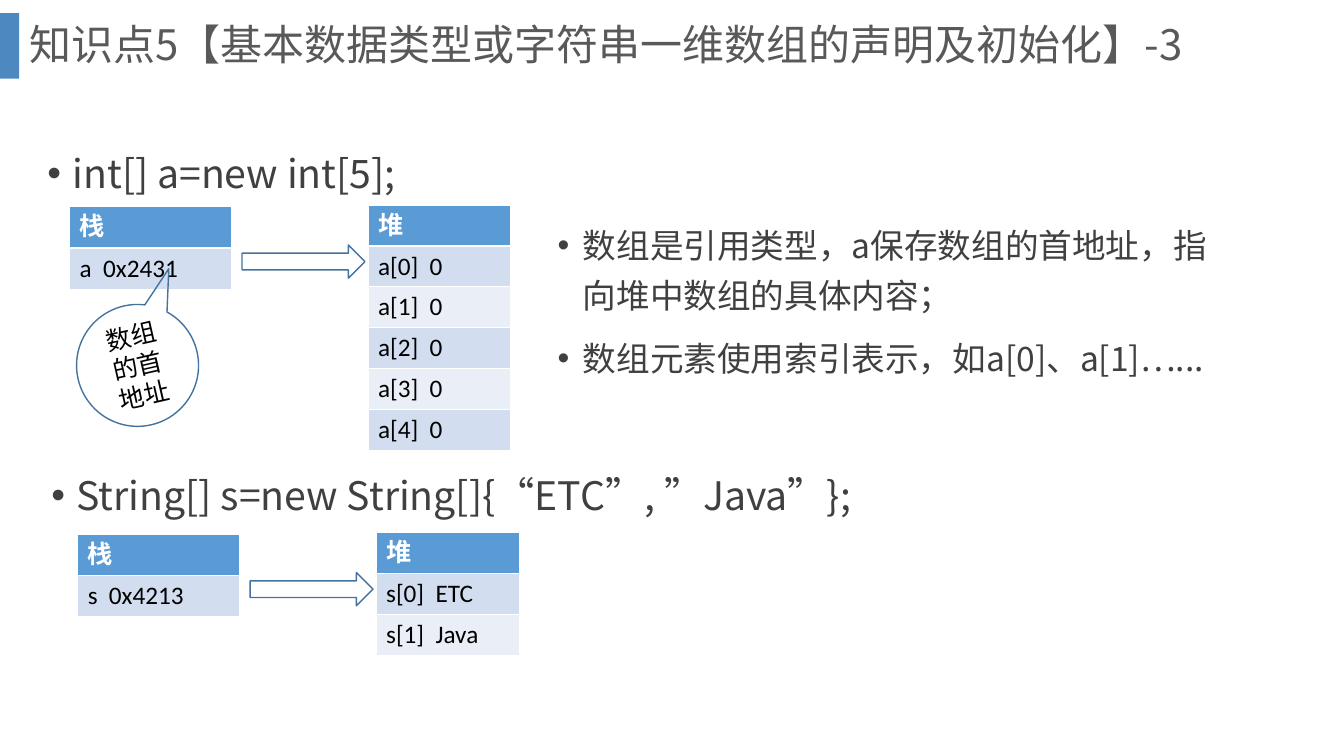
from dataclasses import dataclass

from lxml import etree
from pptx import Presentation
from pptx.dml.color import RGBColor
from pptx.enum.shapes import MSO_SHAPE
from pptx.enum.text import MSO_ANCHOR, MSO_AUTO_SIZE, PP_ALIGN
from pptx.oxml.ns import qn
from pptx.util import Inches, Pt

RECTANGLE = MSO_SHAPE.RECTANGLE
RIGHT_ARROW = MSO_SHAPE.RIGHT_ARROW
CALLOUT = MSO_SHAPE.OVAL_CALLOUT
TOP, MIDDLE = MSO_ANCHOR.TOP, MSO_ANCHOR.MIDDLE
LEFT, CENTER = PP_ALIGN.LEFT, PP_ALIGN.CENTER
NO_AUTOFIT = MSO_AUTO_SIZE.NONE
COMPARISON_LAYOUT = 4


@dataclass(frozen=True)
class Theme:
    """Colours, fonts and type sizes of the slide."""
    text_font: str = "Noto Sans CJK SC"
    table_font: str = "Calibri"
    title_color: str = "595959"
    body_color: str = "404040"
    bar: str = "2E75B6"
    outline: str = "43739E"
    header: str = "5B9BD5"
    bands: tuple = ("D2DEEF", "EAEFF7")
    white: str = "FFFFFF"
    black: str = "000000"
    title_size: int = 30
    code_size: int = 28
    note_size: int = 24
    table_size: int = 18


class SlideBuilder:
    """Draws elements on a slide with a grid of 100 columns and 100 rows."""

    def __init__(self, presentation, theme):
        """Add the slide and measure its grid."""
        self.theme = theme
        self.column = presentation.slide_width / 100
        self.row = presentation.slide_height / 100
        layout = presentation.slide_layouts[COMPARISON_LAYOUT]
        self.slide = presentation.slides.add_slide(layout)

    def box(self, left, top, width, height):
        """Turn grid columns and rows into lengths."""
        return (round(left * self.column), round(top * self.row),
                round(width * self.column), round(height * self.row))

    def format_runs(self, paragraph, font_name, size, color, bold=False):
        """Set the font of every run in a paragraph."""
        for run in paragraph.runs:
            font = run.font
            font.size, font.bold = Pt(size), bold
            font.color.rgb = RGBColor.from_string(color)
            font.name = font_name
            properties = run._r.get_or_add_rPr()
            properties.set("lang", "zh-CN")
            etree.SubElement(properties, qn("a:ea"), typeface=font_name)

    def placeholder(self, index, bounds, text, anchor):
        """Move and fill a template placeholder."""
        shape = self.slide.placeholders[index]
        shape.left, shape.top, shape.width, shape.height = self.box(*bounds)
        frame = shape.text_frame
        frame.text = text
        frame.word_wrap, frame.auto_size = True, NO_AUTOFIT
        frame.vertical_anchor = anchor
        return frame

    def title(self, bounds, text):
        """Write the slide title."""
        paragraph = self.placeholder(0, bounds, text, MIDDLE).paragraphs[0]
        paragraph.alignment, paragraph.line_spacing = LEFT, 0.9
        self.format_runs(paragraph, self.theme.text_font,
                         self.theme.title_size, self.theme.title_color)

    def bullets(self, index, bounds, lines, size, spacing):
        """Write a bulleted list."""
        frame = self.placeholder(index, bounds, "\n".join(lines), TOP)
        for position, paragraph in enumerate(frame.paragraphs):
            paragraph.line_spacing = spacing
            paragraph.space_before = Pt(10 if position else 0)
            properties = paragraph._p.get_or_add_pPr()
            properties.set("marL", str(Inches(0.25)))
            properties.set("indent", str(-Inches(0.25)))
            etree.SubElement(properties, qn("a:buFont"), typeface="Arial")
            etree.SubElement(properties, qn("a:buChar"), char="•")
            self.format_runs(paragraph, self.theme.text_font, size,
                             self.theme.body_color)

    def shape(self, kind, bounds):
        """Add an unfilled outlined shape."""
        shape = self.slide.shapes.add_shape(kind, *self.box(*bounds))
        shape.shadow.inherit = False
        shape.fill.background()
        shape.line.color.rgb = RGBColor.from_string(self.theme.outline)
        shape.line.width = Pt(1)
        return shape

    def bar(self, bounds):
        """Add the translucent bar beside the title."""
        shape = self.shape(RECTANGLE, bounds)
        shape.line.fill.background()
        shape.fill.solid()
        shape.fill.fore_color.rgb = RGBColor.from_string(self.theme.bar)
        color = shape._element.spPr.find(qn("a:solidFill"))[0]
        etree.SubElement(color, qn("a:alpha"), val="85000")

    def callout(self, bounds, text, rotation, pointer):
        """Add a rotated speech bubble."""
        shape = self.shape(CALLOUT, bounds)
        shape.rotation = rotation
        shape.adjustments[0], shape.adjustments[1] = pointer
        frame = shape.text_frame
        frame.text = text
        frame.word_wrap, frame.vertical_anchor = True, MIDDLE
        frame.paragraphs[0].alignment = CENTER
        self.format_runs(frame.paragraphs[0], self.theme.table_font,
                         self.theme.table_size, self.theme.black)

    def table(self, left, top, width, row_height, lines):
        """Add a one-column table with a header and banded rows."""
        bounds = self.box(left, top, width, row_height * len(lines))
        table = self.slide.shapes.add_table(len(lines), 1, *bounds).table
        for position, line in enumerate(lines):
            header = position == 0
            cell = table.cell(position, 0)
            cell.text = line
            cell.fill.solid()
            fill = self.theme.header if header else self.theme.bands[(position - 1) % 2]
            cell.fill.fore_color.rgb = RGBColor.from_string(fill)
            color = self.theme.white if header else self.theme.black
            self.format_runs(cell.text_frame.paragraphs[0], self.theme.table_font,
                             self.theme.table_size, color, header)

    def memory(self, left, top, reference, elements):
        """Draw a stack table pointing to a heap table."""
        self.table(left, top, 12.08, 5.47, ["栈", reference])
        self.table(left + 22.2, top - 0.2, 10.65, 5.2, ["堆", *elements])
        self.shape(RIGHT_ARROW, (left + 12.83, top + 5.07, 9.15, 4.4))

    def remove_empty_placeholders(self):
        """Remove the placeholders left without text."""
        for shape in list(self.slide.placeholders):
            if not shape.text_frame.text:
                shape._element.getparent().remove(shape._element)


def main():
    """Build and save the slide."""
    presentation = Presentation()
    presentation.slide_width, presentation.slide_height = Inches(13.33), Inches(7.5)
    theme = Theme()
    builder = SlideBuilder(presentation, theme)
    builder.bar((0, 1.73, 1.43, 8.67))
    builder.title((1.43, 0, 94.97, 12.4),
                  "知识点5【基本数据类型或字符串一维数组的声明及初始化】-3")
    builder.bullets(1, (2.78, 16, 90.4, 10.67), ["int[] a=new int[5];"],
                    theme.code_size, 1.5)
    builder.bullets(2, (40.74, 27.87, 50.19, 32.4),
                    ["数组是引用类型，a保存数组的首地址，指向堆中数组的具体内容；",
                     "数组元素使用索引表示，如a[0]、a[1]…..."],
                    theme.note_size, 1.23)
    builder.bullets(3, (3.08, 58.53, 90.4, 10.67),
                    ["String[] s=new String[]{“ETC”, ”Java”};"],
                    theme.code_size, 1.5)
    builder.memory(5.18, 27.33, "a  0x2431", [f"a[{index}]  0" for index in range(5)])
    builder.memory(5.78, 70.67, "s  0x4213", ["s[0]  ETC", "s[1]  Java"])
    builder.callout((5.7, 40.27, 9.08, 16.13), "数组的首地址", 347.2, (0.425, -0.717))
    builder.remove_empty_placeholders()
    presentation.save("out.pptx")


if __name__ == "__main__":
    main()
